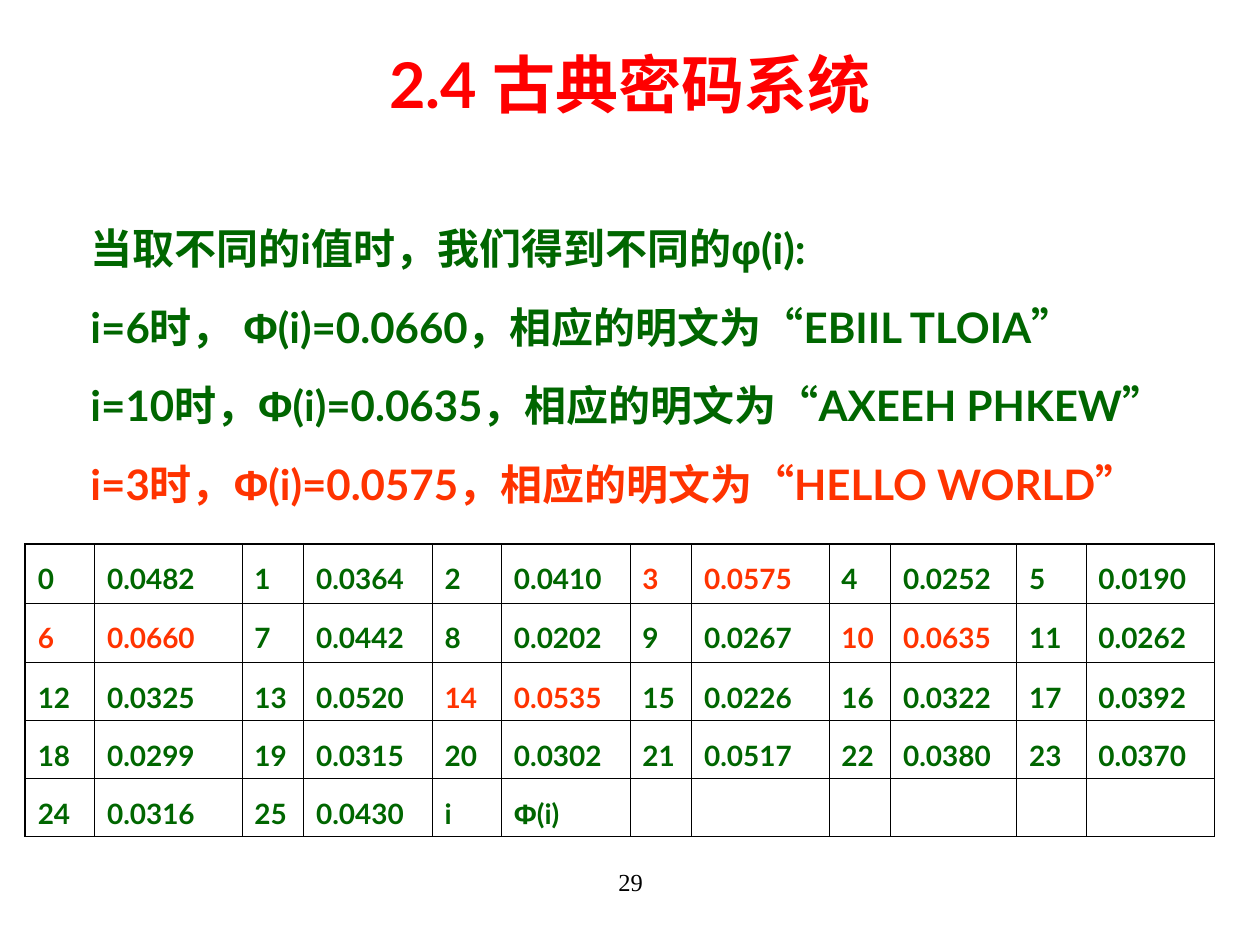
"""Builds the slide on the phi(i) values of a classical cipher."""
from dataclasses import dataclass
from itertools import groupby

from lxml import etree
from pptx import Presentation
from pptx.dml.color import RGBColor
from pptx.enum.text import MSO_ANCHOR, PP_ALIGN
from pptx.oxml.ns import qn
from pptx.util import Inches, Pt

CENTER = PP_ALIGN.CENTER
LEFT = PP_ALIGN.LEFT
MIDDLE = MSO_ANCHOR.MIDDLE
TITLE_ONLY = 5


@dataclass(frozen=True)
class Theme:
    font: str = "Lato"
    greek_font: str = "Arial"
    number_font: str = "Times New Roman"
    title: str = "FF0000"
    text: str = "006600"
    accent: str = "FF3300"
    black: str = "000000"
    title_size: float = 36
    body_size: float = 24
    cell_size: float = 16
    number_size: float = 14
    line_spacing: float = 1.35
    outer_line: float = 1.08
    inner_line: float = 0.45


def write(p, text, *, size, color, font, greek_font=None, bold=True,
          align=LEFT, spacing=None, before=0):
    p.alignment = align
    p.space_before = Pt(before)
    if spacing:
        p.line_spacing = spacing
    for is_greek, chars in groupby(text, lambda c: c in "φΦ"):
        r = p.add_run()
        r.text = "".join(chars)
        r.font.name = greek_font if is_greek and greek_font else font
        r.font.size = Pt(size)
        r.font.bold = bold
        r.font.color.rgb = RGBColor.from_string(color)


def set_borders(cell, widths, color):
    tcPr = cell._tc.get_or_add_tcPr()
    for i, side in enumerate("LRTB"):
        ln = etree.Element(qn(f"a:ln{side}"), w=str(Pt(widths[side])))
        fill = etree.SubElement(ln, qn("a:solidFill"))
        etree.SubElement(fill, qn("a:srgbClr"), val=color)
        tcPr.insert(i, ln)


class SlideBuilder:
    def __init__(self, slide, theme):
        self.slide = slide
        self.theme = theme

    def title(self, text, box):
        sp = self.slide.shapes.title
        sp.left, sp.top, sp.width, sp.height = map(Inches, box)
        tf = sp.text_frame
        tf.vertical_anchor = MIDDLE
        t = self.theme
        write(tf.paragraphs[0], text, size=t.title_size, color=t.title,
              font=t.font, align=CENTER)

    def text_box(self, box):
        tf = self.slide.shapes.add_textbox(*map(Inches, box)).text_frame
        tf.word_wrap = True
        return tf

    def body(self, lines, box):
        t = self.theme
        tf = self.text_box(box)
        for i, (text, color) in enumerate(lines):
            p = tf.add_paragraph() if i else tf.paragraphs[0]
            pPr = p._p.get_or_add_pPr()
            pPr.set("marL", str(Inches(0.81)))
            pPr.set("indent", str(Inches(-0.31)))
            write(p, text, size=t.body_size, color=color, font=t.font,
                  greek_font=t.greek_font, spacing=t.line_spacing,
                  before=6 if i else 0)

    def table(self, entries, highlights, left, top, col_widths, row_heights):
        t = self.theme
        n_rows, n_cols = len(row_heights), len(col_widths)
        table = self.slide.shapes.add_table(
            n_rows, n_cols, Inches(left), Inches(top),
            Inches(sum(col_widths)), Inches(sum(row_heights))).table
        table.first_row = table.horz_banding = False
        for col, width in zip(table.columns, col_widths):
            col.width = Inches(width)
        for row, height in zip(table.rows, row_heights):
            row.height = Inches(height)
        for i, cell in enumerate(table.iter_cells()):
            row, col = divmod(i, n_cols)
            cell.fill.background()
            cell.margin_left = cell.margin_right = Inches(0.1)
            cell.margin_top = cell.margin_bottom = Inches(0.05)
            edges = {"L": col == 0, "R": col == n_cols - 1,
                     "T": row == 0, "B": row == n_rows - 1}
            widths = {side: t.outer_line if outer else t.inner_line
                      for side, outer in edges.items()}
            set_borders(cell, widths, t.black)
            pair, part = divmod(i, 2)
            if pair < len(entries):
                color = t.accent if pair in highlights else t.text
                write(cell.text_frame.paragraphs[0], entries[pair][part],
                      size=t.cell_size, color=color, font=t.font,
                      greek_font=t.greek_font, spacing=t.line_spacing)

    def page_number(self, text, box):
        t = self.theme
        write(self.text_box(box).paragraphs[0], text, size=t.number_size,
              color=t.black, font=t.number_font, bold=False, align=CENTER)


PHI_VALUES = """
0.0482 0.0364 0.0410 0.0575 0.0252 0.0190
0.0660 0.0442 0.0202 0.0267 0.0635 0.0262
0.0325 0.0520 0.0535 0.0226 0.0322 0.0392
0.0299 0.0315 0.0302 0.0517 0.0380 0.0370
0.0316 0.0430
""".split()


def main():
    theme = Theme()
    prs = Presentation()
    prs.slide_width, prs.slide_height = Inches(10), Inches(7.5)
    s = SlideBuilder(prs.slides.add_slide(prs.slide_layouts[TITLE_ONLY]), theme)

    s.page_number("29", (3.42, 6.83, 3.17, 0.5))
    s.title("2.4 古典密码系统", (0, 0.33, 10, 0.67))
    s.body([
        ("当取不同的i值时，我们得到不同的φ(i):", theme.text),
        ("i=6时， Φ(i)=0.0660，相应的明文为“EBIIL TLOIA”", theme.text),
        ("i=10时，Φ(i)=0.0635，相应的明文为“AXEEH PHKEW”", theme.text),
        ("i=3时，Φ(i)=0.0575，相应的明文为“HELLO WORLD”", theme.accent),
    ], (0.12, 1.58, 9.8, 2.54))
    entries = [(str(i), value) for i, value in enumerate(PHI_VALUES)]
    s.table(entries + [("i", "Φ(i)")], {3, 6, 10, 14}, 0.2, 4.32,
            [0.55, 1.17, 0.49, 1.02, 0.55, 1.02,
             0.49, 1.09, 0.49, 1, 0.55, 1.02],
            [0.47, 0.47, 0.44, 0.4, 0.4])
    prs.save("out.pptx")


if __name__ == "__main__":
    main()
